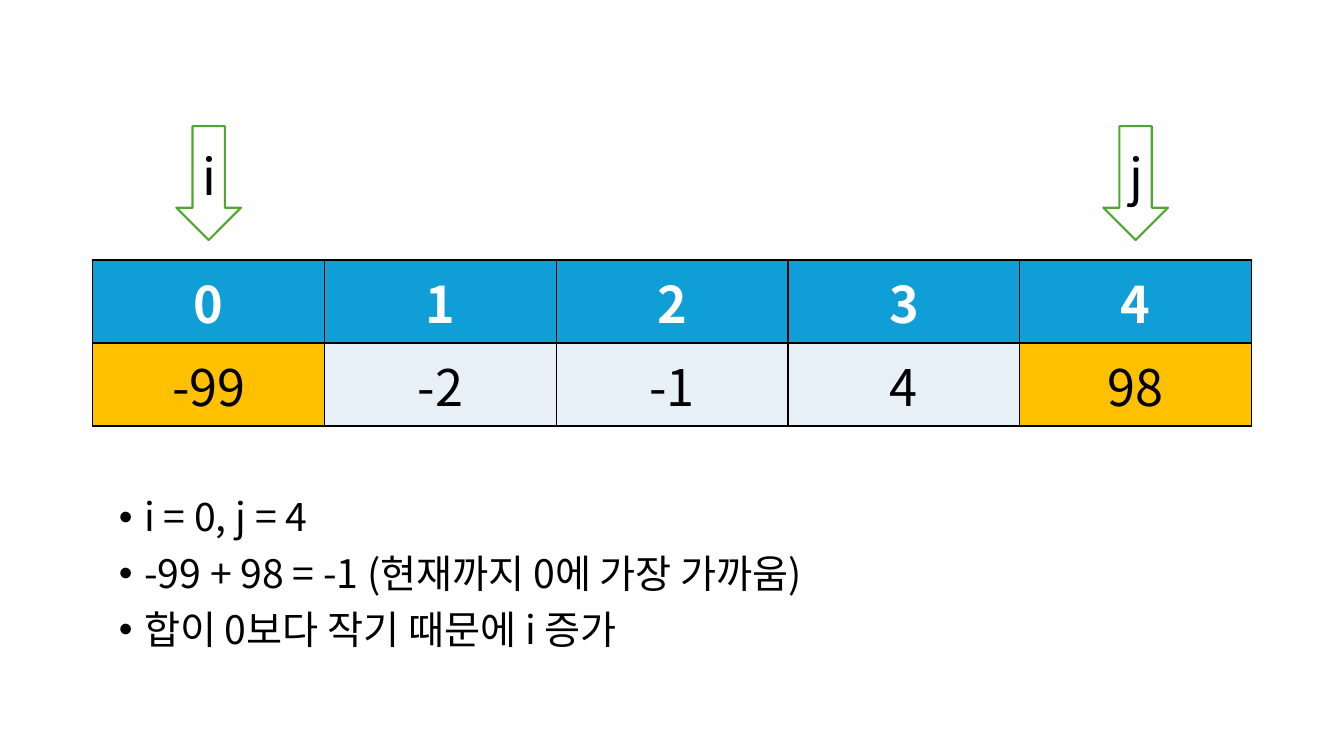
"""Build a two-pointer search slide with an indexed array and its explanation."""
from lxml.etree import SubElement
from pptx import Presentation
from pptx.dml.color import RGBColor
from pptx.enum.shapes import MSO_SHAPE
from pptx.enum.text import MSO_ANCHOR, MSO_AUTO_SIZE, PP_ALIGN
from pptx.oxml.ns import qn
from pptx.util import Cm, Pt

VALUES = ["-99", "-2", "-1", "4", "98"]
POINTERS = {"i": 0, "j": 4}
NOTES = [
    "i = 0, j = 4",
    "-99 + 98 = -1 (현재까지 0에 가장 가까움)",
    "합이 0보다 작기 때문에 i 증가",
]

FONT = "Noto Sans CJK KR"
BLACK = RGBColor(0x00, 0x00, 0x00)
WHITE = RGBColor(0xFF, 0xFF, 0xFF)
BLUE = RGBColor(0x0F, 0x9E, 0xD5)
PALE = RGBColor(0xE7, 0xF0, 0xF7)
AMBER = RGBColor(0xFF, 0xC0, 0x00)
GREEN = RGBColor(0x4E, 0xA7, 0x2E)

TABLE_LEFT, TABLE_TOP = 2.34, 6.55
COLUMN_WIDTH, ROW_HEIGHT = 5.84, 2.09
ARROW_TOP, ARROW_WIDTH, ARROW_HEIGHT = 3.18, 1.63, 2.87


def write(paragraph, text, size=36, color=BLACK, bold=False, align=PP_ALIGN.CENTER):
    paragraph.alignment = align
    run = paragraph.add_run()
    run.text = text
    font = run.font
    font.name, font.size, font.bold = FONT, Pt(size), bold
    font.color.rgb = color
    SubElement(run._r.get_or_add_rPr(), qn("a:ea"), typeface=FONT)


def add_borders(cell):
    properties = cell._tc.get_or_add_tcPr()
    for side in ("lnL", "lnR", "lnT", "lnB"):
        line = SubElement(properties, qn(f"a:{side}"), w=str(Pt(1)))
        fill = SubElement(line, qn("a:solidFill"))
        SubElement(fill, qn("a:srgbClr"), val=str(BLACK))


def add_array(slide):
    count = len(VALUES)
    table = slide.shapes.add_table(
        2, count, Cm(TABLE_LEFT), Cm(TABLE_TOP),
        Cm(COLUMN_WIDTH * count), Cm(ROW_HEIGHT * 2)).table
    for column in table.columns:
        column.width = Cm(COLUMN_WIDTH)
    for index, value in enumerate(VALUES):
        value_fill = AMBER if index in POINTERS.values() else PALE
        entries = [(str(index), BLUE, WHITE, True), (value, value_fill, BLACK, False)]
        for row, (text, fill, color, bold) in enumerate(entries):
            cell = table.cell(row, index)
            cell.vertical_anchor = MSO_ANCHOR.MIDDLE
            add_borders(cell)
            cell.fill.solid()
            cell.fill.fore_color.rgb = fill
            write(cell.text_frame.paragraphs[0], text, color=color, bold=bold)


def add_pointer(slide, label, index):
    left = TABLE_LEFT + (index + 0.5) * COLUMN_WIDTH - ARROW_WIDTH / 2
    arrow = slide.shapes.add_shape(
        MSO_SHAPE.DOWN_ARROW, Cm(left), Cm(ARROW_TOP), Cm(ARROW_WIDTH), Cm(ARROW_HEIGHT))
    arrow.shadow.inherit = False
    arrow.fill.solid()
    arrow.fill.fore_color.rgb = WHITE
    arrow.line.color.rgb = GREEN
    arrow.line.width = Pt(1.5)
    arrow.text_frame.vertical_anchor = MSO_ANCHOR.MIDDLE
    write(arrow.text_frame.paragraphs[0], label)


def fill_notes(body):
    body.left, body.top, body.width, body.height = Cm(2.74), Cm(12.42), Cm(29.21), Cm(5.16)
    frame = body.text_frame
    frame.word_wrap = True
    frame.auto_size = MSO_AUTO_SIZE.NONE
    frame.vertical_anchor = MSO_ANCHOR.TOP
    for number, note in enumerate(NOTES):
        paragraph = frame.add_paragraph() if number else frame.paragraphs[0]
        properties = paragraph._p.get_or_add_pPr()
        properties.set("marL", str(Cm(0.64)))
        properties.set("indent", str(Cm(-0.64)))
        SubElement(properties, qn("a:buFont"), typeface="Arial")
        SubElement(properties, qn("a:buChar"), char="•")
        paragraph.line_spacing = 0.9
        paragraph.space_before = Pt(10 if number else 0)
        write(paragraph, note, size=28, align=PP_ALIGN.LEFT)


def main():
    presentation = Presentation()
    presentation.slide_width, presentation.slide_height = Cm(33.87), Cm(19.05)
    slide = presentation.slides.add_slide(presentation.slide_layouts[1])
    title = slide.shapes.title
    title.element.getparent().remove(title.element)
    add_array(slide)
    for label, index in POINTERS.items():
        add_pointer(slide, label, index)
    fill_notes(slide.placeholders[1])
    presentation.save("out.pptx")


if __name__ == "__main__":
    main()
